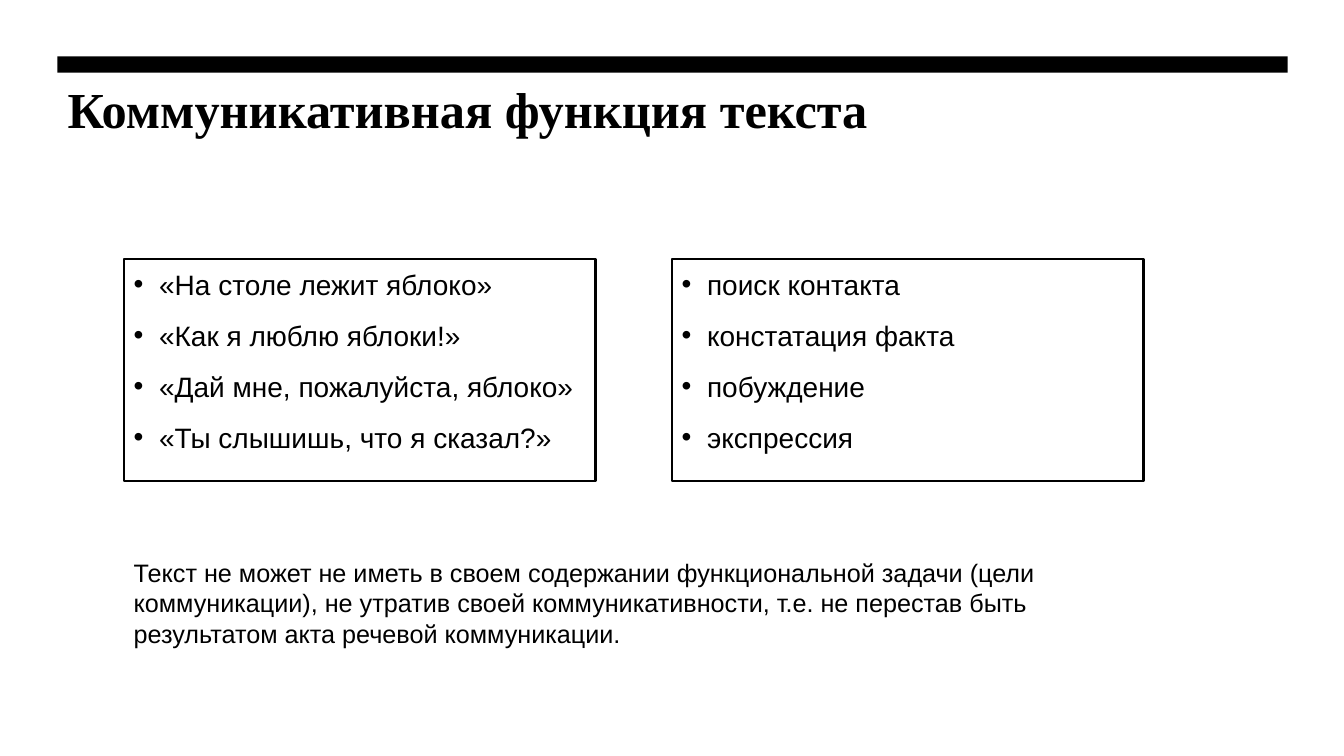
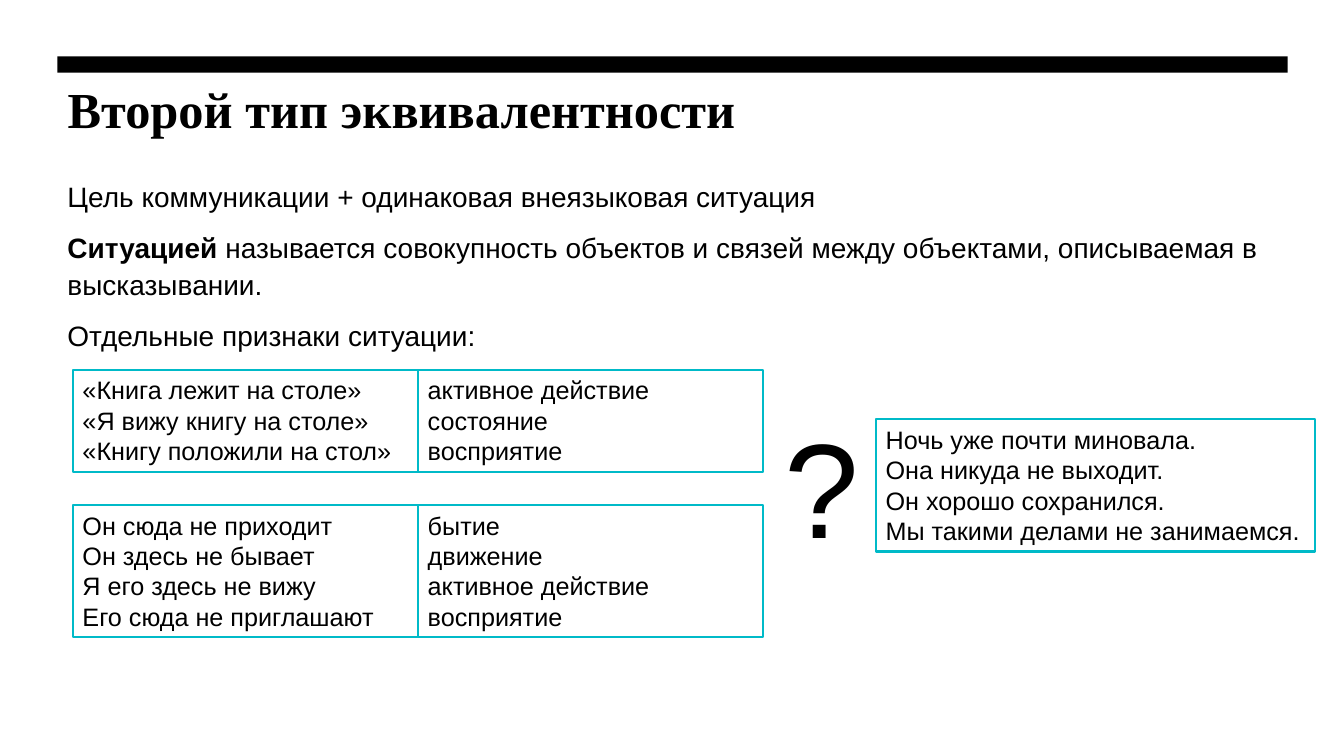
from dataclasses import dataclass

from lxml import etree
from pptx import Presentation
from pptx.dml.color import RGBColor
from pptx.enum import shapes, text
from pptx.oxml import ns
from pptx.util import Cm, Pt


@dataclass(frozen=True)
class Theme:
    ink: RGBColor = RGBColor(0, 0, 0)
    paper: RGBColor = RGBColor(255, 255, 255)
    teal: RGBColor = RGBColor(0x00, 0xBA, 0xC8)
    serif: str = "Times New Roman"
    sans: str = "Arial"
    title: int = 36
    body: int = 20
    note: int = 18
    mark: int = 96
    line: float = 1.5
    edge: float = 1.45
    width: float = 31


T = Theme()

TASK = {
    "title": "Коммуникативная функция текста",
    "lists": [
        ["«На столе лежит яблоко»", "«Как я люблю яблоки!»",
         "«Дай мне, пожалуйста, яблоко»", "«Ты слышишь, что я сказал?»"],
        ["поиск контакта", "констатация факта", "побуждение", "экспрессия"],
    ],
    "note": "Текст не может не иметь в своем содержании функциональной задачи "
            "(цели коммуникации), не утратив своей коммуникативности, "
            "т.е. не перестав быть результатом акта речевой коммуникации.",
}

TYPE = {
    "title": "Второй тип эквивалентности",
    "body": [
        "Цель коммуникации + одинаковая внеязыковая ситуация",
        ("Ситуацией", " называется совокупность объектов и связей "
                      "между объектами, описываемая в высказывании."),
        "Отдельные признаки ситуации:",
    ],
    "pairs": [
        (["«Книга лежит на столе»", "«Я вижу книгу на столе»",
          "«Книгу положили на стол»"],
         ["активное действие", "состояние", "восприятие"]),
        (["Он сюда не приходит", "Он здесь не бывает",
          "Я его здесь не вижу", "Его сюда не приглашают"],
         ["бытие", "движение", "активное действие", "восприятие"]),
    ],
    "mark": "?",
    "quiz": ["Ночь уже почти миновала.", "Она никуда не выходит.",
             "Он хорошо сохранился.", "Мы такими делами не занимаемся."],
}


def style(para, size, face=T.sans, bold=None):
    font = para.font
    font.name, font.size, font.bold = face, Pt(size), bold
    font.color.rgb = T.ink


def bullet(para):
    props = para._p.get_or_add_pPr()
    props.set("marL", str(Cm(0.64)))
    props.set("indent", str(-Cm(0.64)))
    etree.SubElement(props, ns.qn("a:buFont"), typeface=T.sans)
    etree.SubElement(props, ns.qn("a:buChar"), char="•")


def block(slide, area, lines, size=T.note, line=None, airy=False, dots=False):
    box = slide.shapes.add_textbox(*map(Cm, area))
    if line is not None:
        box.fill.solid()
        box.fill.fore_color.rgb = T.paper
        box.line.color.rgb = line
        box.line.width = Pt(T.line)
    frame = box.text_frame
    frame.word_wrap = True
    frame.vertical_anchor = text.MSO_ANCHOR.TOP
    for i, item in enumerate(lines):
        para = frame.add_paragraph() if i else frame.paragraphs[0]
        if airy:
            para.line_spacing, para.space_before = 1.1, Pt(10)
        if dots:
            bullet(para)
        style(para, size)
        if isinstance(item, tuple):
            lead, rest = (para.add_run() for _ in item)
            lead.text, rest.text = item
            lead.font.bold = True
        else:
            para.add_run().text = item


def add_bar(slide):
    area = map(Cm, (T.edge, 1.42, T.width, 0.41))
    bar = slide.shapes.add_shape(shapes.MSO_SHAPE.RECTANGLE, *area)
    bar.shadow.inherit = False
    bar.fill.solid()
    bar.fill.fore_color.rgb = T.ink
    bar.line.fill.background()


def start(deck, title):
    slide = deck.slides.add_slide(deck.slide_layouts[5])
    add_bar(slide)
    head = slide.shapes.title
    head.left, head.top, head.width, head.height = map(
        Cm, (T.edge, 1.73, T.width, 2))
    head.text = title
    head.text_frame.vertical_anchor = text.MSO_ANCHOR.MIDDLE
    para = head.text_frame.paragraphs[0]
    para.alignment = text.PP_ALIGN.LEFT
    style(para, T.title, T.serif, True)
    return slide


def task(deck):
    slide = start(deck, TASK["title"])
    left, wide, step = 3.12, 11.89, 13.81
    for i, lines in enumerate(TASK["lists"]):
        block(slide, (left + i * step, 6.53, wide, 5.59), lines,
              T.body, T.ink, airy=True, dots=True)
    block(slide, (left, 13.92, step + wide, 2.57), [TASK["note"]])


def kind(deck):
    slide = start(deck, TYPE["title"])
    block(slide, (T.edge, 4.32, 31.29, 5), TYPE["body"], T.body, airy=True)
    left, top, wide, gap = 1.83, 9.32, 8.7, 0.84
    row, pad = 0.76, 0.29
    for pair in TYPE["pairs"]:
        high = len(pair[0]) * row + pad
        for i, lines in enumerate(pair):
            block(slide, (left + i * wide, top, wide, high), lines,
                  line=T.teal)
        top += high + gap
    block(slide, (19.53, 10.06, 2.59, 4.37), [TYPE["mark"]], T.mark)
    quiz = TYPE["quiz"]
    block(slide, (22.07, 10.57, 11.07, len(quiz) * row + pad), quiz,
          line=T.teal)


def main():
    deck = Presentation()
    deck.slide_width, deck.slide_height = Cm(33.87), Cm(19.05)
    task(deck)
    kind(deck)
    deck.save("out.pptx")


if __name__ == "__main__":
    main()
